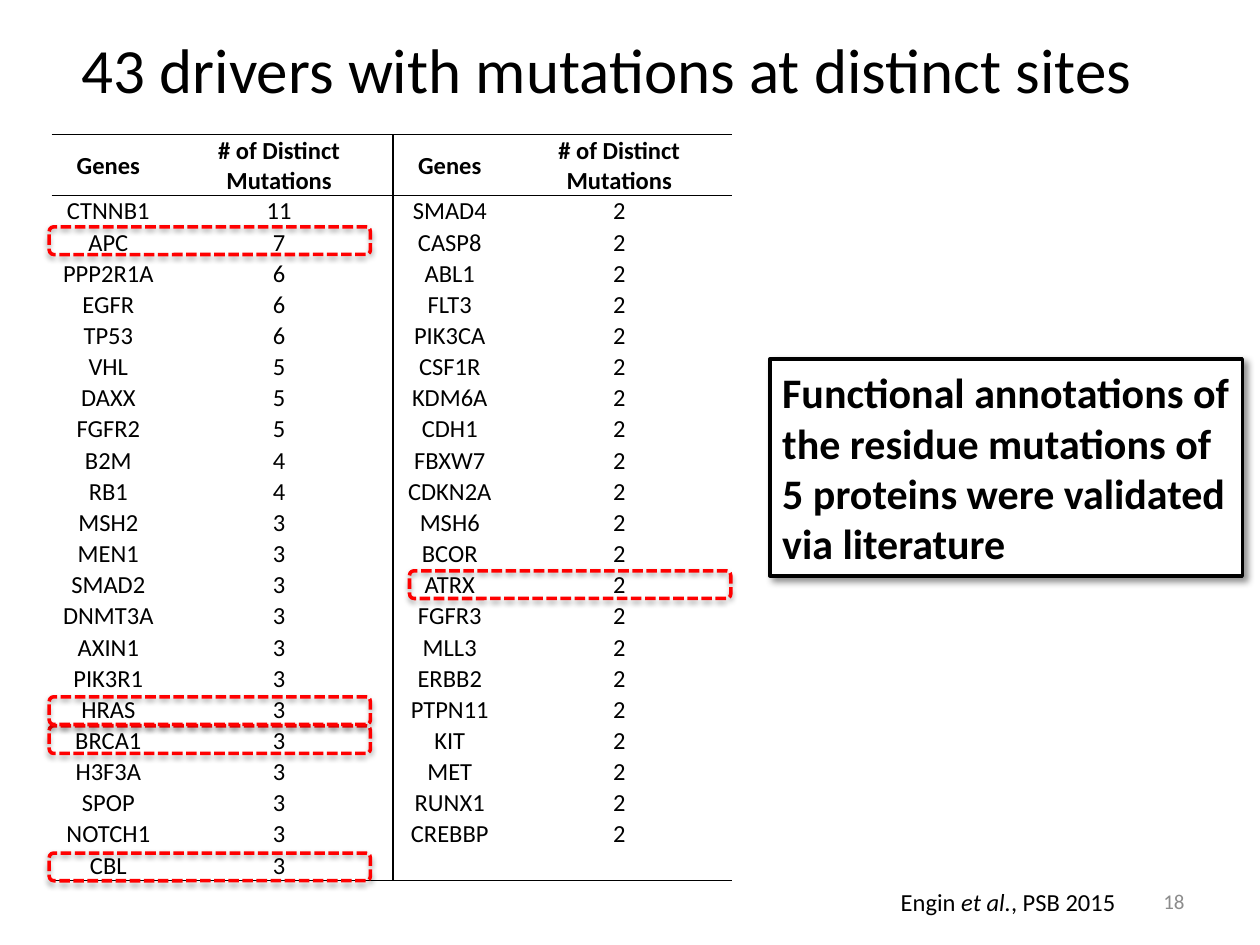
from itertools import zip_longest

from lxml import etree
from pptx import Presentation
from pptx.dml.color import RGBColor
from pptx.enum.dml import MSO_LINE
from pptx.enum.shapes import MSO_SHAPE
from pptx.enum.text import MSO_ANCHOR, MSO_AUTO_SIZE, PP_ALIGN
from pptx.oxml.ns import qn
from pptx.util import Inches, Pt

RECTANGLE, ROUNDED = MSO_SHAPE.RECTANGLE, MSO_SHAPE.ROUNDED_RECTANGLE
LEFT, CENTER, RIGHT = PP_ALIGN.LEFT, PP_ALIGN.CENTER, PP_ALIGN.RIGHT
TOP, MIDDLE = MSO_ANCHOR.TOP, MSO_ANCHOR.MIDDLE
FIT_SHAPE = MSO_AUTO_SIZE.SHAPE_TO_FIT_TEXT
DASHED = MSO_LINE.SQUARE_DOT

COLORS = {"ink": "000000", "paper": "FFFFFF", "mark": "FF0000", "number": "8C8C8C"}
PLAIN_TABLE = "{2D5ABB26-0587-4C30-8999-92F81FD0307C}"

HEADER = ("Genes", "# of Distinct Mutations") * 2
LEFT_GENES = [
    ("CTNNB1", 11), ("APC", 7), ("PPP2R1A", 6), ("EGFR", 6), ("TP53", 6),
    ("VHL", 5), ("DAXX", 5), ("FGFR2", 5), ("B2M", 4), ("RB1", 4),
    ("MSH2", 3), ("MEN1", 3), ("SMAD2", 3), ("DNMT3A", 3), ("AXIN1", 3),
    ("PIK3R1", 3), ("HRAS", 3), ("BRCA1", 3), ("H3F3A", 3), ("SPOP", 3),
    ("NOTCH1", 3), ("CBL", 3),
]
RIGHT_GENES = [
    (gene, 2) for gene in (
        "SMAD4", "CASP8", "ABL1", "FLT3", "PIK3CA", "CSF1R", "KDM6A", "CDH1",
        "FBXW7", "CDKN2A", "MSH6", "BCOR", "ATRX", "FGFR3", "MLL3", "ERBB2",
        "PTPN11", "KIT", "MET", "RUNX1", "CREBBP",
    )
]
COLUMN_WIDTHS = (0.9, 1.81, 0.9, 1.79)
TABLE_HEIGHT, HEADER_HEIGHT = 5.92, 0.48
HIGHLIGHTS = [(0.39, 1.8), (3.25, 4.53), (0.39, 5.76), (0.39, 6.77), (0.39, 5.53)]


class SlideBuilder:
    """Holds the style and the current slide, and draws each kind of element."""

    font = "Calibri"

    def __init__(self, slide):
        self.slide = slide

    def color(self, name):
        return RGBColor.from_string(COLORS[name])

    def format_span(self, span, size, color="ink", bold=False, italic=False):
        span.font.name = self.font
        span.font.size = Pt(size)
        span.font.bold = bold
        span.font.italic = italic
        span.font.color.rgb = self.color(color)

    def text(self, left, top, width, height, spans, size, color="ink",
             align=LEFT, anchor=TOP, wrap=True):
        box = self.slide.shapes.add_textbox(
            Inches(left), Inches(top), Inches(width), Inches(height))
        frame = box.text_frame
        frame.word_wrap = wrap
        frame.vertical_anchor = anchor
        para = frame.paragraphs[0]
        para.alignment = align
        for content, italic in spans:
            span = para.add_run()
            span.text = content
            self.format_span(span, size, color, italic=italic)

    def shape(self, kind, left, top, width, height, line, shadow, fill=None, dash=None):
        shape = self.slide.shapes.add_shape(
            kind, Inches(left), Inches(top), Inches(width), Inches(height))
        if fill:
            shape.fill.solid()
            shape.fill.fore_color.rgb = self.color(fill)
        else:
            shape.fill.background()
        shape.line.color.rgb = self.color(line)
        shape.line.width = Pt(2)
        if dash:
            shape.line.dash_style = dash
        self.shadow(shape, *shadow)
        return shape

    def shadow(self, shape, opacity, blur, distance, angle):
        shape.shadow.inherit = False
        effects = shape._element.spPr.find(qn("a:effectLst"))
        outer = etree.SubElement(
            effects, qn("a:outerShdw"), blurRad=str(Pt(blur)), dist=str(Pt(distance)),
            dir=str(angle * 60000), algn="tl", rotWithShape="0")
        tint = etree.SubElement(outer, qn("a:srgbClr"), val=COLORS["ink"])
        etree.SubElement(tint, qn("a:alpha"), val=str(opacity * 1000))

    def callout(self, left, top, width, height, content):
        box = self.shape(RECTANGLE, left, top, width, height, "ink", (43, 4, 3, 45), "paper")
        frame = box.text_frame
        frame.word_wrap = True
        frame.auto_size = FIT_SHAPE
        frame.text = content
        para = frame.paragraphs[0]
        para.alignment = LEFT
        self.format_span(para.runs[0], 24, bold=True)

    def highlight(self, left, top):
        self.shape(ROUNDED, left, top, 2.55, 0.22, "mark", (35, 3.1, 1.8, 90), dash=DASHED)

    def cell(self, cell, content, borders, bold):
        cell.margin_left = cell.margin_right = cell.margin_top = Inches(0.01)
        cell.margin_bottom = 0
        cell.vertical_anchor = MIDDLE
        para = cell.text_frame.paragraphs[0]
        para.alignment = CENTER
        if content:
            para.text = content
            self.format_span(para.runs[0], 14, bold=bold)
        else:
            etree.SubElement(para._p, qn("a:endParaRPr"), sz="1400")
        properties = cell._tc.get_or_add_tcPr()
        for side in "LRTB":
            line = etree.SubElement(properties, qn(f"a:ln{side}"))
            if side in borders:
                line.set("w", str(Pt(borders[side])))
                solid = etree.SubElement(line, qn("a:solidFill"))
                etree.SubElement(solid, qn("a:srgbClr"), val=COLORS["ink"])
            else:
                etree.SubElement(line, qn("a:noFill"))
        cell.fill.background()

    def table(self, left, top, widths, height, header_height, rows):
        table = self.slide.shapes.add_table(
            len(rows), len(widths), Inches(left), Inches(top),
            Inches(sum(widths)), Inches(height)).table
        table.first_row = table.horz_banding = False
        table._tbl.tblPr.find(qn("a:tableStyleId")).text = PLAIN_TABLE
        for column, width in zip(table.columns, widths):
            column.width = Inches(width)
        last = len(rows) - 1
        body_height = (height - header_height) / last
        for row_index, row in enumerate(rows):
            is_header = row_index == 0
            table.rows[row_index].height = Inches(header_height if is_header else body_height)
            rules = {}
            if row_index <= 1:
                rules["T"] = 0.5
            if row_index in (0, last):
                rules["B"] = 0.5
            for column_index, content in enumerate(row):
                divider = {1: {"R": 1.5}, 2: {"L": 1.5}}.get(column_index, {})
                self.cell(table.cell(row_index, column_index), str(content),
                          rules | divider, is_header)


def main():
    deck = Presentation()
    deck.slide_width, deck.slide_height = Inches(10), Inches(7.5)
    page = SlideBuilder(deck.slides.add_slide(deck.slide_layouts[6]))

    page.callout(6.11, 2.85, 3.75, 1.72,
                 "Functional annotations of the residue mutations of "
                 "5 proteins were validated via literature")
    pairs = zip_longest(LEFT_GENES, RIGHT_GENES, fillvalue=("", ""))
    page.table(0.41, 1.07, COLUMN_WIDTHS, TABLE_HEIGHT, HEADER_HEIGHT,
               [HEADER] + [first + second for first, second in pairs])
    for left, top in HIGHLIGHTS:
        page.highlight(left, top)
    page.text(0.55, 0.17, 9.07, 0.74,
              [("43 drivers with mutations at distinct sites", False)], 36, anchor=MIDDLE)
    page.text(7.05, 6.99, 2.17, 0.34,
              [("Engin ", False), ("et al.", True), (", PSB 2015", False)], 14, wrap=False)
    page.text(7.17, 6.95, 2.33, 0.4, [("18", False)], 12, "number", RIGHT, MIDDLE)

    deck.save("out.pptx")


if __name__ == "__main__":
    main()
